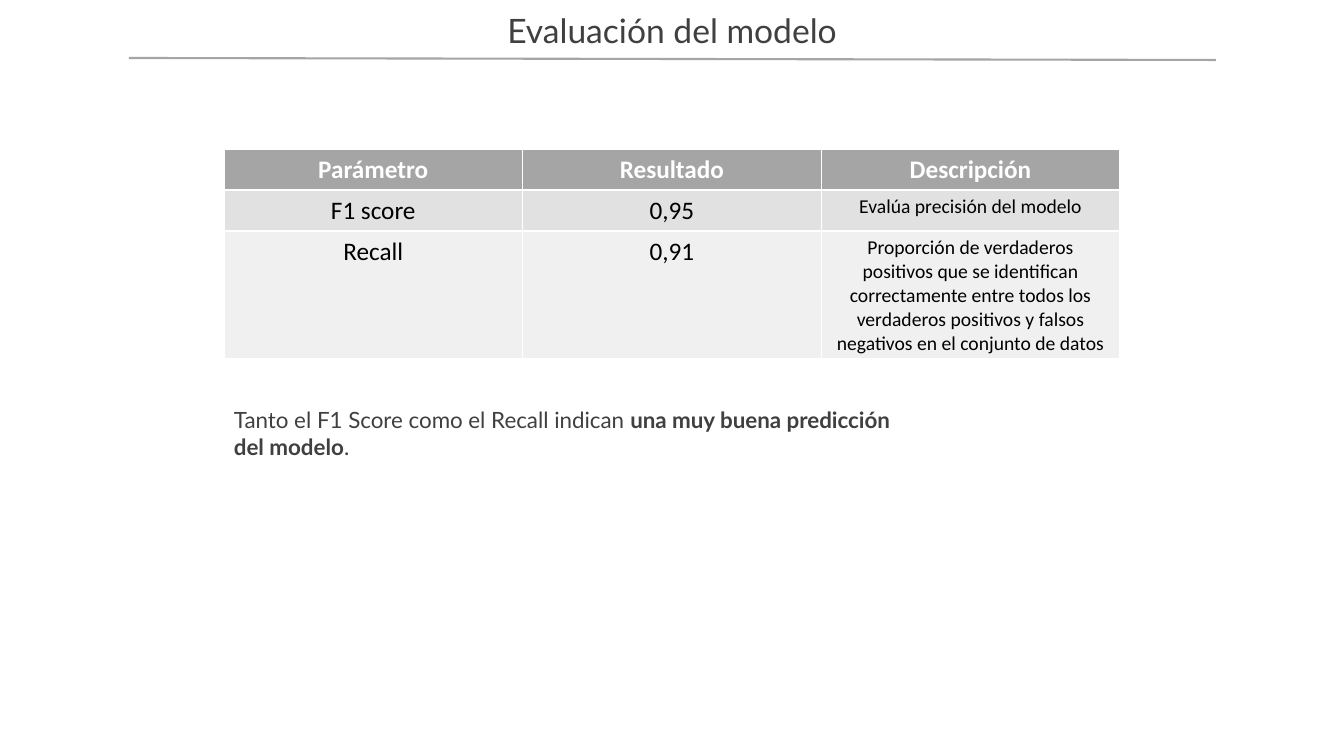
from lxml import etree
from pptx import Presentation
from pptx import util as u
from pptx.dml.color import RGBColor
from pptx.enum import shapes, text
from pptx.oxml import ns


def px(n):
    return u.Emu(round(n * 914400 / 100.8))


def style(font, name, size, color, bold=False):
    font.name = name
    font.size = u.Pt(size)
    font.bold = bold
    font.color.rgb = RGBColor.from_string(color)


deck = Presentation()
deck.slide_width, deck.slide_height = px(1344), px(756)
slide = deck.slides.add_slide(deck.slide_layouts[6])

rule = slide.shapes.add_connector(
    shapes.MSO_CONNECTOR.STRAIGHT, px(129), px(58), px(1216), px(60))
rule.line.color.rgb = RGBColor.from_string("A5A5A5")
rule.line.width = u.Pt(1.5)
etree.SubElement(rule._element.spPr, ns.qn("a:effectLst"))

title = slide.shapes.add_textbox(px(0), px(5), px(1344), px(50)).text_frame
title.word_wrap = True
heading = title.paragraphs[0]
heading.text = "Evaluación del modelo"
heading.alignment = text.PP_ALIGN.CENTER
style(heading.font, "Lato", 24, "404040")

metrics = [
    ("Parámetro", "Resultado", "Descripción"),
    ("F1 score", "0,95", "Evalúa precisión del modelo"),
    ("Recall", "0,91",
     "Proporción de verdaderos positivos que se identifican correctamente "
     "entre todos los verdaderos positivos y falsos negativos en el conjunto de datos"),
]
row_fills = ["A5A5A5", "E1E1E1", "F0F0F0"]
row_heights = [41, 41, 127]
results = slide.shapes.add_table(3, 3, px(224), px(149), px(896), px(209)).table
for r, (values, fill, height) in enumerate(zip(metrics, row_fills, row_heights)):
    results.rows[r].height = px(height)
    for c, value in enumerate(values):
        cell = results.cell(r, c)
        cell.fill.solid()
        cell.fill.fore_color.rgb = RGBColor.from_string(fill)
        entry = cell.text_frame.paragraphs[0]
        entry.text = value
        entry.alignment = text.PP_ALIGN.CENTER
        header = r == 0
        size = 14 if c == 2 and not header else 18
        style(entry.font, "Calibri", size, "FFFFFF" if header else "000000", header)

conclusion = slide.shapes.add_textbox(px(224), px(401), px(683), px(65)).text_frame
conclusion.word_wrap = True
sentence = conclusion.paragraphs[0]
for words, bold in [
    ("Tanto el F1 Score como el Recall indican ", False),
    ("una muy buena predicción del modelo", True),
    (".", False),
]:
    part = sentence.add_run()
    part.text = words
    style(part.font, "Lato", 16, "404040", bold)

deck.save("out.pptx")
